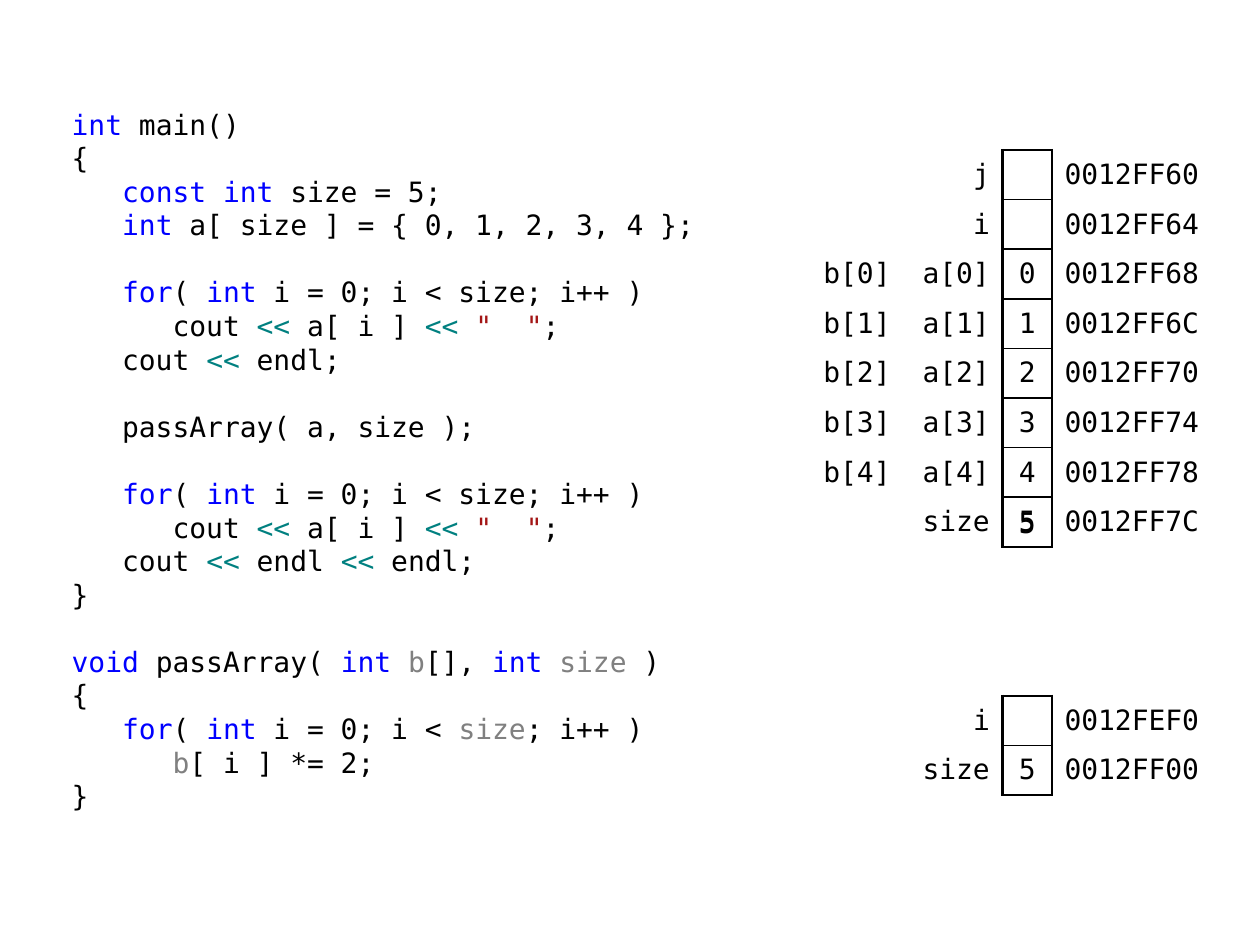
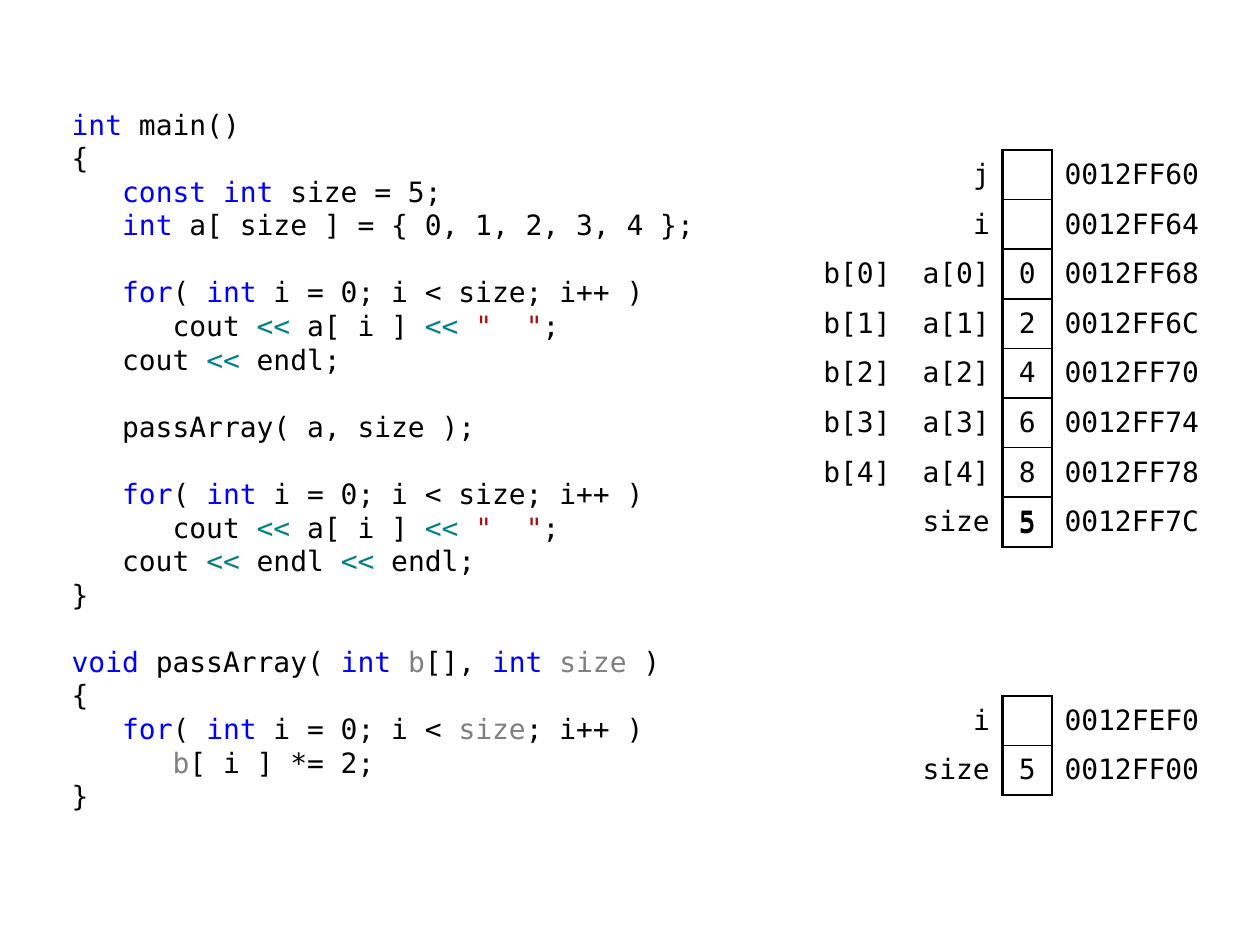
from dataclasses import dataclass
from itertools import groupby

from lxml.etree import SubElement
from pptx import Presentation
from pptx.dml.color import RGBColor
from pptx.enum.text import MSO_ANCHOR, MSO_AUTO_SIZE, PP_ALIGN
from pptx.oxml import parse_xml
from pptx.oxml.ns import nsdecls, qn
from pptx.util import Pt

BLACK = RGBColor(0x00, 0x00, 0x00)
KEYWORD_BLUE = RGBColor(0x00, 0x00, 0xFF)
OPERATOR_TEAL = RGBColor(0x00, 0x80, 0x80)
STRING_RED = RGBColor(0xA3, 0x15, 0x15)
PARAMETER_GRAY = RGBColor(0x80, 0x80, 0x80)

FONT = "DejaVu Sans Mono"
FONT_SIZE = Pt(16)
CODE_LINE = 19.2
CELL = 28.35
LABEL_WIDTH = 2 * CELL
ADDRESS_WIDTH = 99.2
VALUE_LEFT = 572.8
OUTER_LINE = 1.5
INNER_LINE = 1
NO_STYLE = "{2D5ABB26-0587-4C30-8999-92F81FD0307C}"

KEYWORDS = {"int", "const", "for", "void"}
PARAMETERS = {"b", "size"}

MAIN_CODE = """int main()
{
   const int size = 5;
   int a[ size ] = { 0, 1, 2, 3, 4 };

   for( int i = 0; i < size; i++ )
      cout << a[ i ] << "  ";
   cout << endl;

   passArray( a, size );

   for( int i = 0; i < size; i++ )
      cout << a[ i ] << "  ";
   cout << endl << endl;
}
"""
FUNCTION_CODE = """
void passArray( int b[], int size )
{
   for( int i = 0; i < size; i++ )
      b[ i ] *= 2;
}
"""


@dataclass(frozen=True)
class Variable:
    labels: tuple[str, ...]
    value: str
    address: str


@dataclass(frozen=True)
class Frame:
    top: float
    variables: list[Variable]


def main_frame(array: list[int]) -> Frame:
    elements = [((f"b[{index}]", f"a[{index}]"), str(value))
                for index, value in enumerate(array)]
    entries = [(("", "j"), ""), (("", "i"), ""), *elements, (("", "size"), "5")]
    return Frame(85.7, [
        Variable(labels, value, f"{0x12FF60 + 4 * row:08X}")
        for row, (labels, value) in enumerate(entries)
    ])


FUNCTION_FRAME = Frame(397.6, [
    Variable(("i",), "", "0012FEF0"),
    Variable(("size",), "5", "0012FF00"),
])


def character_kind(character: str) -> str:
    if character.isalnum():
        return "word"
    if character.isspace():
        return "space"
    return character if character in '<"' else "symbol"


def token_color(token: str, parameters: set[str]) -> RGBColor:
    if token in KEYWORDS:
        return KEYWORD_BLUE
    if token in parameters:
        return PARAMETER_GRAY
    return {"<<": OPERATOR_TEAL, '"': STRING_RED}.get(token, BLACK)


def style_paragraph(para, align=PP_ALIGN.LEFT) -> None:
    para.alignment = align
    para.space_before = Pt(0)
    para.font.name = FONT
    para.font.size = FONT_SIZE


def write_code_line(para, line: str, parameters: set[str], gap: float) -> None:
    properties = para._p.get_or_add_pPr()
    properties.set("marL", "0")
    properties.set("indent", "0")
    SubElement(properties, qn("a:buNone"))
    style_paragraph(para)
    para.line_spacing = Pt(CODE_LINE)
    para.space_before = Pt(gap)
    tokens = ["".join(group) for _, group in groupby(line, character_kind)]
    for color, group in groupby(tokens, lambda token: token_color(token, parameters)):
        span = para.add_run()
        span.text = "".join(group)
        span.font.color.rgb = color


def add_code(page) -> None:
    box = page.placeholders[1]
    box.left, box.top, box.width, box.height = Pt(33.8), Pt(57.6), Pt(411), Pt(411)
    frame = box.text_frame
    frame.auto_size = MSO_AUTO_SIZE.NONE
    frame.vertical_anchor = MSO_ANCHOR.TOP
    para = frame.paragraphs[0]
    gap = 0
    first = True
    for source, parameters in ((MAIN_CODE, set()), (FUNCTION_CODE, PARAMETERS)):
        for line in source.splitlines():
            if not line:
                gap += CODE_LINE
                continue
            if not first:
                para = frame.add_paragraph()
            write_code_line(para, line, parameters, gap)
            first, gap = False, 0


def set_borders(cell, **widths: float) -> None:
    properties = cell._tc.get_or_add_tcPr()
    sides = [side for side in "LRTB" if side in widths]
    for position, side in enumerate(sides):
        properties.insert(position, parse_xml(
            f'<a:ln{side} {nsdecls("a")} w="{Pt(widths[side])}"><a:solidFill>'
            f'<a:srgbClr val="{BLACK}"/></a:solidFill></a:ln{side}>'))


def write_cell(cell, text: str, align, left: float, right: float) -> None:
    cell.fill.background()
    cell.vertical_anchor = MSO_ANCHOR.MIDDLE
    cell.margin_left, cell.margin_right = Pt(left), Pt(right)
    cell.margin_top = cell.margin_bottom = Pt(2.88)
    para = cell.text_frame.paragraphs[0]
    para.text = text
    style_paragraph(para, align)
    para.font.color.rgb = BLACK


def add_memory(page, frame: Frame) -> None:
    label_count = len(frame.variables[0].labels)
    row_count = len(frame.variables)
    widths = [LABEL_WIDTH] * label_count + [CELL, ADDRESS_WIDTH]
    table = page.shapes.add_table(
        row_count, len(widths),
        Pt(VALUE_LEFT - label_count * LABEL_WIDTH), Pt(frame.top),
        Pt(sum(widths)), Pt(row_count * CELL)).table
    table.first_row = table.horz_banding = False
    table._tbl.tblPr.find(qn("a:tableStyleId")).text = NO_STYLE
    for column, width in zip(table.columns, widths):
        column.width = Pt(width)
    for row, variable in enumerate(frame.variables):
        table.rows[row].height = Pt(CELL)
        for column, label in enumerate(variable.labels):
            write_cell(table.cell(row, column), label, PP_ALIGN.RIGHT, 5.76, 7.2)
        value = table.cell(row, label_count)
        address = table.cell(row, label_count + 1)
        write_cell(value, variable.value, PP_ALIGN.CENTER, 7.2, 7.2)
        write_cell(address, variable.address, PP_ALIGN.LEFT, 7.2, 5.76)
        set_borders(table.cell(row, label_count - 1), R=OUTER_LINE)
        set_borders(value, L=OUTER_LINE, R=OUTER_LINE,
                    T=OUTER_LINE if row == 0 else INNER_LINE,
                    B=OUTER_LINE if row == row_count - 1 else INNER_LINE)
        set_borders(address, L=OUTER_LINE)


def add_size_value(page, frame: Frame) -> None:
    top = frame.top + (len(frame.variables) - 1) * CELL
    box = page.shapes.add_textbox(Pt(VALUE_LEFT), Pt(top), Pt(CELL), Pt(CELL))
    box.text_frame.word_wrap = True
    box.text_frame.vertical_anchor = MSO_ANCHOR.MIDDLE
    para = box.text_frame.paragraphs[0]
    para.text = frame.variables[-1].value
    style_paragraph(para, PP_ALIGN.CENTER)
    para.font.color.rgb = BLACK


def add_page(deck, array: list[int]) -> None:
    page = deck.slides.add_slide(deck.slide_layouts[1])
    title = page.shapes.title._element
    title.getparent().remove(title)
    frame = main_frame(array)
    add_code(page)
    add_memory(page, frame)
    add_memory(page, FUNCTION_FRAME)
    add_size_value(page, frame)


def main() -> None:
    deck = Presentation()
    deck.slide_width, deck.slide_height = Pt(720), Pt(540)
    for factor in (1, 2):
        add_page(deck, [factor * index for index in range(5)])
    deck.save("out.pptx")


if __name__ == "__main__":
    main()
